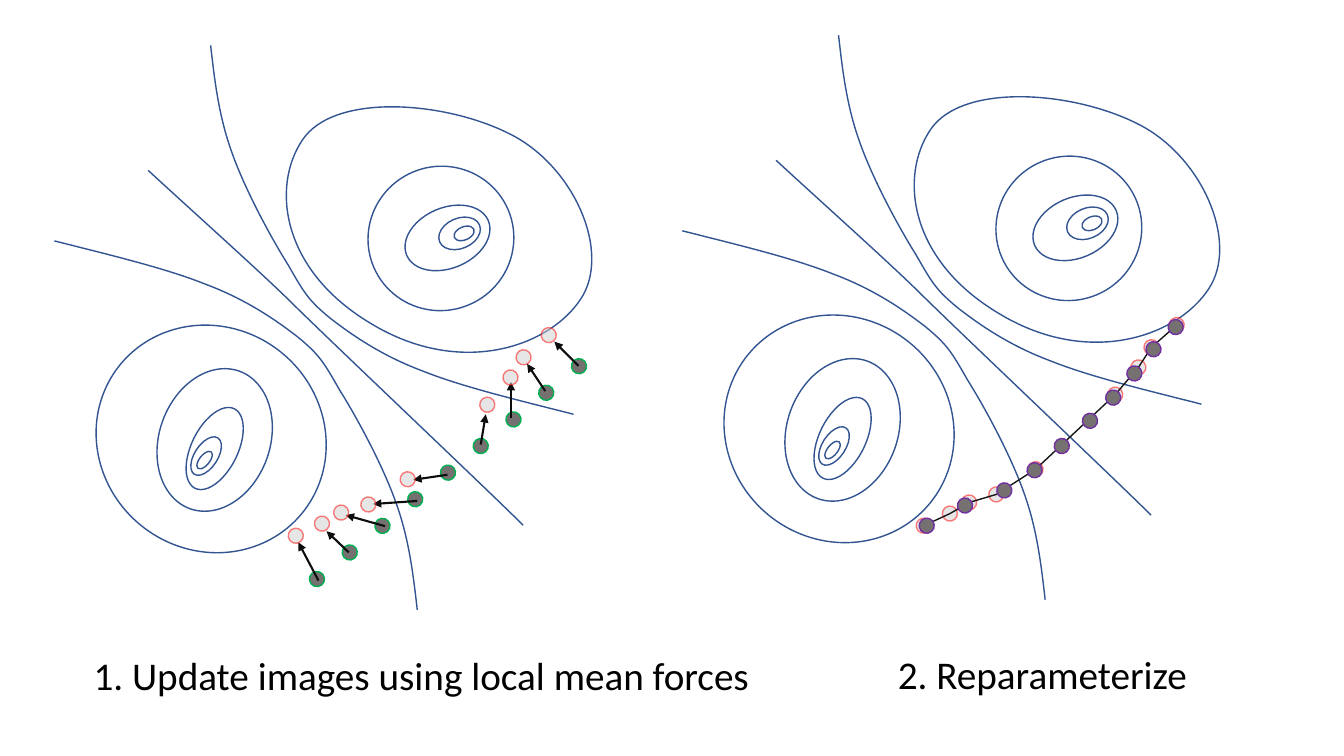
from lxml.etree import SubElement
from pptx import Presentation
from pptx.dml.color import RGBColor
from pptx.enum.shapes import MSO_CONNECTOR, MSO_SHAPE
from pptx.enum.text import MSO_AUTO_SIZE
from pptx.oxml.ns import qn
from pptx.util import Cm, Pt

COLORS = {
    "contour": "325491", "image": "767171", "initial": "00B050",
    "moved": "D0CECE", "moved_line": "FF0000", "even": "7030A0",
    "force": "0D0D0D", "string": "181717", "text": "000000",
}
CM_PER_UNIT = 2.54
DOT_SIZE = 0.15
DOT_ROTATION = 320.6

LOWER_BASIN = [
    (1.9, 3.91, 0.46, 0.88, 26.3), (1.93, 4.21, 0.23, 0.43, 33),
    (1.98, 4.36, 0.1, 0.21, 39), (1.58, 3.54, 1.1, 1.45, 19.7),
    (0.93, 3.15, 2.33, 2.21, 39),
]
UPPER_BASIN = [
    (4.14, 1.82, 0.6, 0.88, 246.9), (4.41, 2.0, 0.3, 0.43, 246.9),
    (4.54, 2.11, 0.13, 0.21, 246.9), (3.66, 1.54, 1.43, 1.45, 246.9),
]
UPPER_RIM = [
    (3.68, 3.11), (2.79, 2.58), (2.69, 1.75), (3.0, 1.29), (3.31, 0.82),
    (4.41, 0.9), (5.06, 1.23), (5.7, 1.55), (6.07, 2.41), (5.76, 2.87),
    (5.45, 3.34), (4.57, 3.65), (3.68, 3.11),
]
RIDGE = [
    (1.47, 1.59), (1.87, 1.96), (2.52, 2.54), (2.86, 2.87),
    (3.2, 3.21), (4.87, 4.79), (5.19, 5.11),
]
LOWER_SLOPE = [
    (0.54, 2.29), (1.09, 2.43), (1.64, 2.56), (2.04, 2.72), (2.44, 2.87),
    (2.73, 3.07), (2.95, 3.24), (3.17, 3.42), (3.21, 3.49), (3.37, 3.77),
    (3.54, 4.04), (3.8, 4.52), (3.93, 4.89), (4.06, 5.25), (4.1, 5.6),
    (4.14, 5.95),
]
UPPER_SLOPE = [(6.23 - x, 6.3 - y) for x, y in LOWER_SLOPE]

INITIAL_IMAGES = [(3.07 + 0.325 * i, 5.57 - 0.264 * i) for i in range(9)]
MOVED_IMAGES = [
    (2.86, 5.14), (3.12, 5.02), (3.31, 4.91), (3.58, 4.83), (3.97, 4.58),
    (4.76, 3.84), (4.99, 3.57), (5.12, 3.37), (5.37, 3.15),
]
EVEN_IMAGES = [
    (4.51, 4.1), (4.23, 4.35), (3.96, 4.59), (3.66, 4.79), (3.27, 4.94),
    (2.89, 5.14), (5.36, 3.17), (5.14, 3.39), (4.95, 3.63), (4.74, 3.87),
]
FORCES = [
    (5.74, 3.53, 5.5, 3.29), (5.41, 3.78, 5.23, 3.51),
    (5.07, 4.05, 5.07, 3.69), (4.77, 4.31, 4.82, 4.01),
    (4.44, 4.61, 4.1, 4.66), (4.14, 4.87, 3.7, 4.9),
    (3.82, 5.12, 3.43, 5.01), (3.46, 5.38, 3.24, 5.17),
    (3.16, 5.66, 2.96, 5.28),
]


def length(units):
    return Cm(units * CM_PER_UNIT)


def place(box, x, y):
    return length(box[0] + x), length(box[1] + y)


def set_line(line, color, width=1):
    line.color.rgb = RGBColor.from_string(COLORS[color])
    line.width = Pt(width)


def set_alpha(fill_parent, percent):
    color = next(fill_parent.iter(qn("a:srgbClr")))
    SubElement(color, qn("a:alpha")).set("val", str(percent * 1000))


def add_ellipse(shapes, box, ring, line="contour", fill=None):
    x, y, width, height, rotation = ring
    shape = shapes.add_shape(MSO_SHAPE.OVAL, *place(box, x, y), length(width), length(height))
    shape.rotation = rotation
    shape.shadow.inherit = False
    if fill:
        shape.fill.solid()
        shape.fill.fore_color.rgb = RGBColor.from_string(COLORS[fill])
    else:
        shape.fill.background()
    set_line(shape.line, line)
    return shape


def add_images(shapes, box, positions, fill, line, translucent=False):
    for x, y in positions:
        shape = add_ellipse(shapes, box, (x, y, DOT_SIZE, DOT_SIZE, DOT_ROTATION), line, fill)
        if translucent:
            properties = shape.element.spPr
            set_alpha(properties.find(qn("a:solidFill")), 49)
            set_alpha(properties.find(qn("a:ln")), 50)


def add_outline(shapes, box, points, color, closed=False):
    placed = [place(box, x, y) for x, y in points]
    builder = shapes.build_freeform(*placed[0])
    builder.add_line_segments(placed[1:], close=closed)
    shape = builder.convert_to_shape()
    shape.fill.background()
    shape.shadow.inherit = False
    set_line(shape.line, color)
    return shape


def add_curve(shapes, box, points, closed=False):
    shape = add_outline(shapes, box, points, "contour", closed)
    segments = list(shape.element.iter(qn("a:lnTo")))[:len(points) - 1]
    for start in range(0, len(segments), 3):
        first = segments[start]
        first.tag = qn("a:cubicBezTo")
        for segment in segments[start + 1:start + 3]:
            first.append(segment[0])
            segment.getparent().remove(segment)


def add_force(shapes, box, force):
    start_x, start_y, end_x, end_y = force
    connector = shapes.add_connector(
        MSO_CONNECTOR.STRAIGHT, *place(box, start_x, start_y), *place(box, end_x, end_y))
    set_line(connector.line, "force", 1.5)
    properties = connector.element.spPr
    SubElement(properties.find(qn("a:ln")), qn("a:tailEnd")).set("type", "triangle")
    SubElement(properties, qn("a:effectLst"))


def add_text(shapes, box, text, size=28, color="text", font="Calibri"):
    left, top, width, height = map(length, box)
    shape = shapes.add_textbox(left, top, width, height)
    frame = shape.text_frame
    frame.word_wrap = False
    frame.auto_size = MSO_AUTO_SIZE.SHAPE_TO_FIT_TEXT
    run = frame.paragraphs[0].add_run()
    run.text = text
    run.font.size = Pt(size)
    run.font.name = font
    run.font.color.rgb = RGBColor.from_string(COLORS[color])


def add_landscape(shapes, box):
    for ring in LOWER_BASIN:
        add_ellipse(shapes, box, ring)
    upper_basin = shapes.add_group_shape().shapes
    for ring in UPPER_BASIN:
        add_ellipse(upper_basin, box, ring)
    add_curve(shapes, box, UPPER_RIM, closed=True)
    for points in (RIDGE, LOWER_SLOPE, UPPER_SLOPE):
        add_curve(shapes, box, points)


def add_moved_images(shapes, box):
    group = shapes.add_group_shape()
    add_images(group.shapes, box, MOVED_IMAGES, "moved", "moved_line", translucent=True)


def add_update_panel(shapes, box):
    add_landscape(shapes, box)
    group = shapes.add_group_shape()
    add_images(group.shapes, box, INITIAL_IMAGES, "image", "initial")
    for force in FORCES:
        add_force(shapes, box, force)
    add_moved_images(shapes, box)


def add_reparameterize_panel(shapes, box):
    add_landscape(shapes, box)
    add_moved_images(shapes, box)
    centers = [(x + DOT_SIZE / 2, y + DOT_SIZE / 2) for x, y in MOVED_IMAGES]
    add_outline(shapes, box, centers, "string")
    add_images(shapes, box, EVEN_IMAGES, "image", "even")


def main():
    presentation = Presentation()
    presentation.slide_width = Cm(33.87)
    presentation.slide_height = Cm(19.05)
    slide = presentation.slides.add_slide(presentation.slide_layouts[6])
    add_update_panel(slide.shapes, (0, 0.1))
    add_reparameterize_panel(slide.shapes, (6.23, 0))
    add_text(slide.shapes, (0.83, 6.41, 6.78, 0.57), "1. Update images using local mean forces")
    add_text(slide.shapes, (8.81, 6.4, 3.1, 0.57), "2. Reparameterize")
    presentation.save("out.pptx")


if __name__ == "__main__":
    main()
